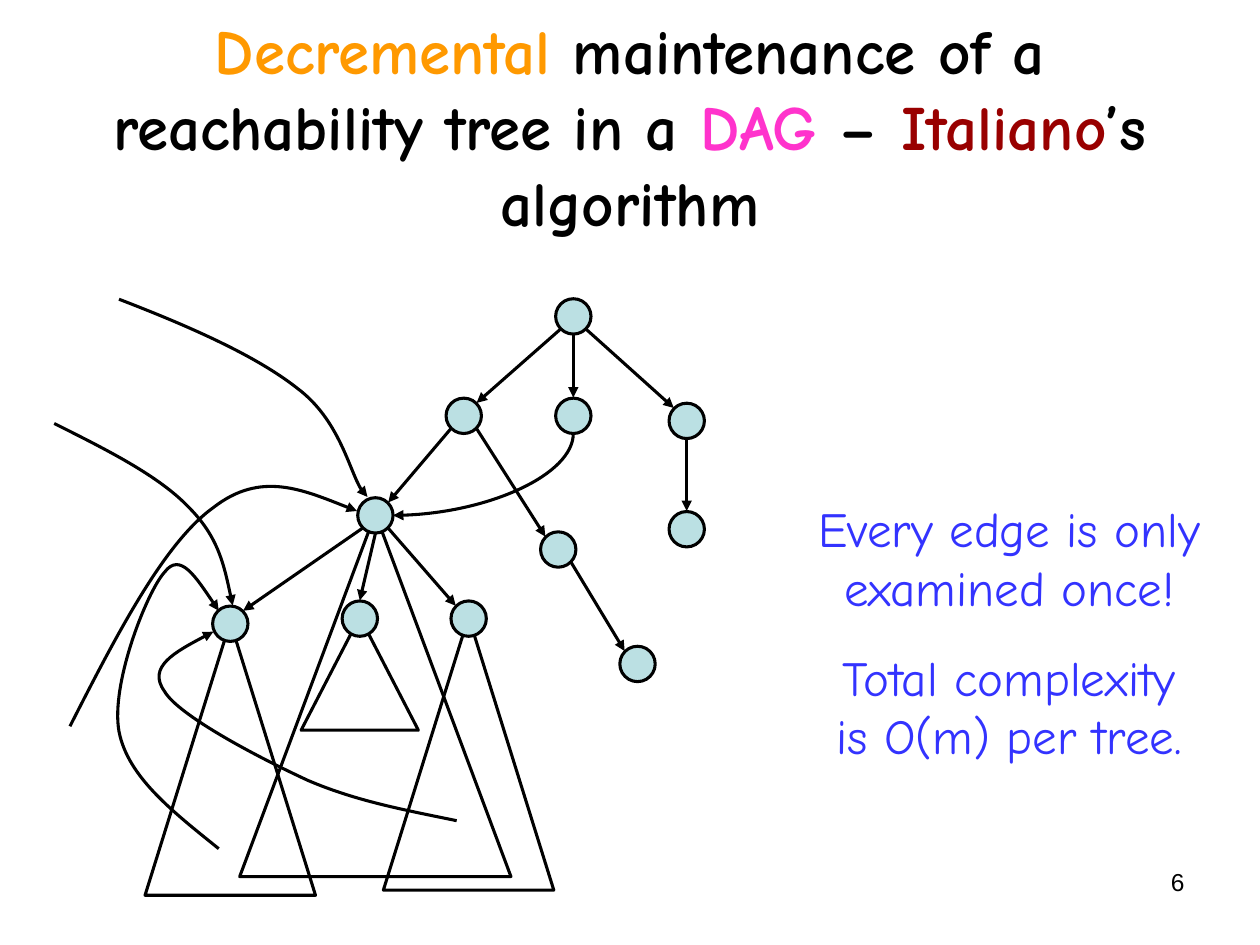
from dataclasses import dataclass
from math import hypot

from lxml.etree import SubElement
from pptx import Presentation
from pptx.dml.color import RGBColor
from pptx.enum.shapes import MSO_CONNECTOR, MSO_SHAPE
from pptx.enum.text import MSO_ANCHOR, MSO_AUTO_SIZE, PP_ALIGN
from pptx.oxml.ns import qn
from pptx.util import Pt


@dataclass(frozen=True)
class Theme:
    ink: str = "000000"
    node: str = "BBE0E3"
    orange: str = "FF9900"
    pink: str = "FF33CC"
    red: str = "990000"
    blue: str = "3333FF"
    font: str = "Comic Neue"
    number_font: str = "Arial"
    title_size: float = 36
    note_size: float = 28
    number_size: float = 14
    line: float = 1.76


THEME = Theme()
RADIUS = 10.1

NODES = {
    "root": (327.6, 180.8),
    "left": (265, 237.6),
    "middle": (327.6, 237.6),
    "right": (392.4, 240.5),
    "right leaf": (392.4, 302.4),
    "inner": (319, 314),
    "inner leaf": (364.3, 379.4),
    "hub": (214.5, 294.5),
    "hub left": (131.6, 356.4),
    "hub middle": (205.6, 353.5),
    "hub right": (267.8, 353.5),
}
EDGES = [
    ("root", "left"), ("root", "middle"), ("root", "right"),
    ("left", "hub"), ("left", "inner"), ("right", "right leaf"),
    ("inner", "inner leaf"),
    ("hub", "hub left"), ("hub", "hub middle"), ("hub", "hub right"),
]
SUBTREES = {
    "hub": (155, 207.4),
    "hub left": (97.4, 156.2),
    "hub middle": (67, 64.8),
    "hub right": (97.4, 156.2),
}
INCOMING = [
    [(67.7, 170.6), (107.3, 186.5), (146.2, 203), (169.9, 221.8),
     (193.7, 240.5), (202.3, 279.4), (209.5, 284.4)],
    [(39.6, 414.7), (67, 362.2), (94.3, 310.3), (121.7, 290.2),
     (149, 269.3), (176.4, 280.8), (204.5, 292.3)],
    [(31, 241.9), (61.2, 257), (90.7, 272.2), (108, 290.2),
     (124.6, 307.4), (128.9, 326.9), (133.2, 346.3)],
    [(260.6, 468.7), (231.8, 463), (203.8, 457.9), (175.7, 445.7),
     (147.6, 433.4), (102.2, 409), (93.6, 394.6),
     (84.2, 380.9), (103, 370.8), (121.7, 360.7)],
    [(124.6, 485.3), (99.4, 464.4), (73.4, 443.5), (67.7, 417.6),
     (62.6, 391), (84.2, 338.4), (93.6, 326.9),
     (103, 315.4), (113.8, 332.6), (124.6, 349.2)],
]


def color(value):
    return RGBColor.from_string(value)


def style_line(shape, arrow=False):
    shape.line.color.rgb = color(THEME.ink)
    shape.line.width = Pt(THEME.line)
    if arrow:
        line = shape.element.spPr.find(qn("a:ln"))
        SubElement(line, qn("a:tailEnd"), type="triangle")


def add_outline(page, kind, left, top, width, height, fill=None):
    shape = page.shapes.add_shape(kind, Pt(left), Pt(top), Pt(width), Pt(height))
    shape.shadow.inherit = False
    if fill:
        shape.fill.solid()
        shape.fill.fore_color.rgb = color(fill)
    else:
        shape.fill.background()
    style_line(shape)


def add_node(page, center):
    x, y = center
    add_outline(page, MSO_SHAPE.OVAL, x - RADIUS, y - RADIUS,
                2 * RADIUS, 2 * RADIUS, THEME.node)


def add_subtree(page, apex, width, height):
    x, y = apex
    add_outline(page, MSO_SHAPE.ISOSCELES_TRIANGLE, x - width / 2, y - 1, width, height)


def add_arrow(page, kind, start, end):
    ends = [Pt(value) for value in (*start, *end)]
    connector = page.shapes.add_connector(kind, *ends)
    style_line(connector, arrow=True)
    SubElement(connector.element.spPr, qn("a:effectLst"))
    return connector


def add_edge(page, parent, child):
    (x1, y1), (x2, y2) = parent, child
    side = 0 if abs(x2 - x1) < RADIUS else (1 if x2 > x1 else -1)
    reach = (RADIUS + 0.3) / hypot(side, 1)
    add_arrow(page, MSO_CONNECTOR.STRAIGHT,
              (x1 + side * reach, y1 + reach), (x2 - side * reach, y2 - reach))


def add_bent_edge(page, parent, child):
    x1, y1 = parent[0], parent[1] + RADIUS
    x2, y2 = child[0] + RADIUS, child[1]
    width, height = y2 - y1, x1 - x2
    left, top = (x1 + x2 - width) / 2, (y1 + y2 - height) / 2
    connector = add_arrow(page, MSO_CONNECTOR.CURVE,
                          (left, top), (left + width, top + height))
    properties = connector.element.spPr
    properties.find(qn("a:xfrm")).set("rot", str(90 * 60000))
    properties.find(qn("a:prstGeom")).set("prst", "curvedConnector2")


def add_curve(page, points):
    builder = page.shapes.build_freeform(*points[0], scale=Pt(1))
    builder.add_line_segments(points[1:], close=False)
    shape = builder.convert_to_shape()
    shape.shadow.inherit = False
    shape.fill.background()
    style_line(shape, arrow=True)
    outline = next(shape.element.iter(qn("a:path")))
    segments = outline.findall(qn("a:lnTo"))
    for first in range(0, len(segments), 3):
        curve = SubElement(outline, qn("a:cubicBezTo"))
        for segment in segments[first:first + 3]:
            curve.append(segment[0])
            outline.remove(segment)


def format_span(span, size, fill, font=THEME.font, bold=False):
    span.font.name = font
    span.font.size = Pt(size)
    span.font.bold = bold
    span.font.color.rgb = color(fill)


def place(box, left, top, width, height):
    box.left, box.top, box.width, box.height = map(Pt, (left, top, width, height))


def add_title(page, spans):
    box = page.shapes.title
    place(box, 36, 26.6, 648, 90)
    box.text_frame.auto_size = MSO_AUTO_SIZE.NONE
    box.text_frame.vertical_anchor = MSO_ANCHOR.MIDDLE
    para = box.text_frame.paragraphs[0]
    para.alignment = PP_ALIGN.CENTER
    for text, fill in spans:
        span = para.add_run()
        span.text = text
        format_span(span, THEME.title_size, fill, bold=True)


def add_text(page, texts, area, align, space_before=0, **style):
    box = page.shapes.add_textbox(0, 0, 0, 0)
    place(box, *area)
    frame = box.text_frame
    frame.word_wrap = True
    for index, text in enumerate(texts):
        para = frame.add_paragraph() if index else frame.paragraphs[0]
        para.text = text
        para.alignment = align
        para.space_before = Pt(space_before)
        for span in para.runs:
            format_span(span, **style)


def main():
    deck = Presentation()
    deck.slide_width, deck.slide_height = Pt(720), Pt(540)
    page = deck.slides.add_slide(deck.slide_layouts[5])
    add_title(page, [
        ("Decremental", THEME.orange),
        (" maintenance of a reachability tree in a ", THEME.ink),
        ("DAG", THEME.pink), (" – ", THEME.ink),
        ("Italiano", THEME.red), ("’s algorithm", THEME.ink),
    ])
    for name, size in SUBTREES.items():
        add_subtree(page, NODES[name], *size)
    for center in NODES.values():
        add_node(page, center)
    for parent, child in EDGES:
        add_edge(page, NODES[parent], NODES[child])
    add_bent_edge(page, NODES["middle"], NODES["hub"])
    for points in INCOMING:
        add_curve(page, points)
    add_text(page, ["Every edge is only examined once!",
                    "Total complexity\vis O(m) per tree."],
             (439.2, 281.5, 275, 159), PP_ALIGN.CENTER, space_before=17.5,
             size=THEME.note_size, fill=THEME.blue)
    add_text(page, ["6"], (516.2, 491.8, 167.8, 37.4), PP_ALIGN.RIGHT,
             size=THEME.number_size, fill=THEME.ink, font=THEME.number_font)
    deck.save("out.pptx")


main()
